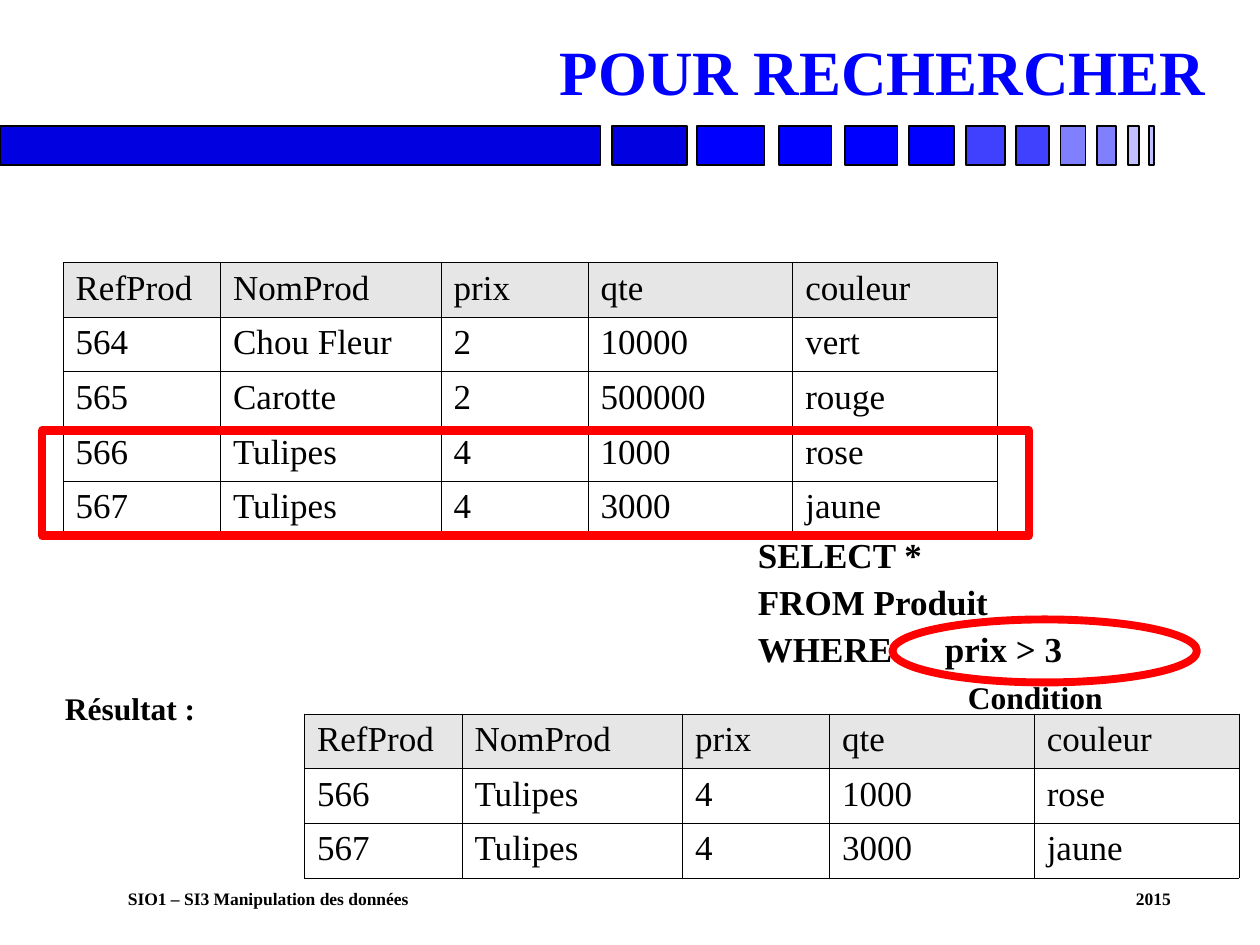
from lxml.etree import SubElement
from pptx import Presentation
from pptx.dml.color import RGBColor
from pptx.enum.shapes import MSO_SHAPE
from pptx.enum.text import MSO_ANCHOR, PP_ALIGN
from pptx.oxml.ns import qn
from pptx.util import Inches, Pt

BLACK = RGBColor(0x00, 0x00, 0x00)
RED = RGBColor(0xFF, 0x00, 0x00)
BLUE = RGBColor(0x00, 0x00, 0xFF)
DARK_BLUE = RGBColor(0x00, 0x00, 0xE0)
MID_BLUE = RGBColor(0x40, 0x40, 0xFF)
SOFT_BLUE = RGBColor(0x80, 0x80, 0xFF)
PALE_BLUE = RGBColor(0xC0, 0xC0, 0xFF)
GREY = RGBColor(0xE6, 0xE6, 0xE6)
FONT = "Times New Roman"

prs = Presentation()
prs.slide_width, prs.slide_height = Inches(10), Inches(7.5)
COL = prs.slide_width // 120
ROW = prs.slide_height // 90
s = prs.slides.add_slide(prs.slide_layouts[6])


def grid(x, y, w, h):
    return [int(v) for v in (x * COL, y * ROW, w * COL, h * ROW)]


def add_text(box, lines, size, color=BLACK, tab=None, anchor=MSO_ANCHOR.TOP, **fmt):
    tf = s.shapes.add_textbox(*grid(*box)).text_frame
    tf.word_wrap = True
    tf.vertical_anchor = anchor
    for i, line in enumerate(lines):
        p = tf.paragraphs[0] if i == 0 else tf.add_paragraph()
        p.text = line
        if i:
            p.space_before = Pt(7.5)
        if tab:
            tabs = SubElement(p._p.get_or_add_pPr(), qn("a:tabLst"))
            SubElement(tabs, qn("a:tab"), pos=str(int(tab * COL)), algn="l")
        for name, value in fmt.items():
            setattr(p, name, value)
        for r in p.runs:
            for name, value in {"name": FONT, "size": Pt(size), "bold": True}.items():
                setattr(r.font, name, value)
            r.font.color.rgb = color


bars = [
    (0, 57.2, DARK_BLUE), (58.3, 7.1, DARK_BLUE), (66.4, 6.4, BLUE),
    (74.2, 5, BLUE), (80.5, 5, BLUE), (86.6, 4.3, BLUE),
    (92, 3.7, MID_BLUE), (96.8, 3.1, MID_BLUE), (101, 2.4, SOFT_BLUE),
    (104.5, 1.8, SOFT_BLUE), (107.4, 1.1, PALE_BLUE), (109.4, 0.5, PALE_BLUE),
]
shapes = [(MSO_SHAPE.RECTANGLE, (x, 12, w, 3.75), fill, BLACK, 1) for x, w, fill in bars]

add_text((3, 2.75, 113, 8.25), ["POUR RECHERCHER"], 36, BLUE,
         anchor=MSO_ANCHOR.BOTTOM, alignment=PP_ALIGN.RIGHT, line_spacing=0.9)
add_text((71, 51, 46, 14), ["SELECT *", "FROM Produit", "WHERE\tprix > 3"], 20,
         tab=17.8, line_spacing=0.8)
add_text((91, 64, 26, 4.8), ["Condition"], 18)
add_text((5, 65, 22, 4.8), ["Résultat :"], 18)
add_text((11, 84, 106, 3.1), ["SIO1 – SI3 Manipulation des données\t2015"], 10, tab=96)

header = ["RefProd", "NomProd", "prix", "qte", "couleur"]
products = [
    ["564", "Chou Fleur", "2", "10000", "vert"],
    ["565", "Carotte", "2", "500000", "rouge"],
    ["566", "Tulipes", "4", "1000", "rose"],
    ["567", "Tulipes", "4", "3000", "jaune"],
]
matches = [row for row in products if int(row[2]) > 3]
col_widths = [15, 21, 14, 19.5, 19.5]
row_height = 5.2

for x, y, rows in [(6, 25, [header] + products), (29, 68, [header] + matches)]:
    box = grid(x, y, sum(col_widths), row_height * len(rows))
    table = s.shapes.add_table(len(rows), len(header), *box).table
    table.first_row = table.horz_banding = False
    for column, width in zip(table.columns, col_widths):
        column.width = int(width * COL)
    for i, row in enumerate(rows):
        table.rows[i].height = int(row_height * ROW)
        for j, value in enumerate(row):
            cell = table.cell(i, j)
            tcPr = cell._tc.get_or_add_tcPr()
            for side in ("a:lnL", "a:lnR", "a:lnT", "a:lnB"):
                ln = SubElement(tcPr, qn(side), w=str(Pt(0.45)))
                SubElement(SubElement(ln, qn("a:solidFill")), qn("a:srgbClr"), val=str(BLACK))
            if i == 0:
                cell.fill.solid()
                cell.fill.fore_color.rgb = GREY
            else:
                cell.fill.background()
            cell.text = value
            font = cell.text_frame.paragraphs[0].runs[0].font
            for name, setting in {"name": FONT, "size": Pt(20), "bold": False}.items():
                setattr(font, name, setting)
            font.color.rgb = BLACK

shapes += [
    (MSO_SHAPE.OVAL, (85, 59, 29, 6), None, RED, 4.5),
    (MSO_SHAPE.RECTANGLE, (4, 41, 94, 10), None, RED, 5),
]
for kind, box, fill, line, width in shapes:
    sp = s.shapes.add_shape(kind, *grid(*box))
    sp.shadow.inherit = False
    if fill is None:
        sp.fill.background()
    else:
        sp.fill.solid()
        sp.fill.fore_color.rgb = fill
    sp.line.color.rgb = line
    sp.line.width = Pt(width)

prs.save("out.pptx")
